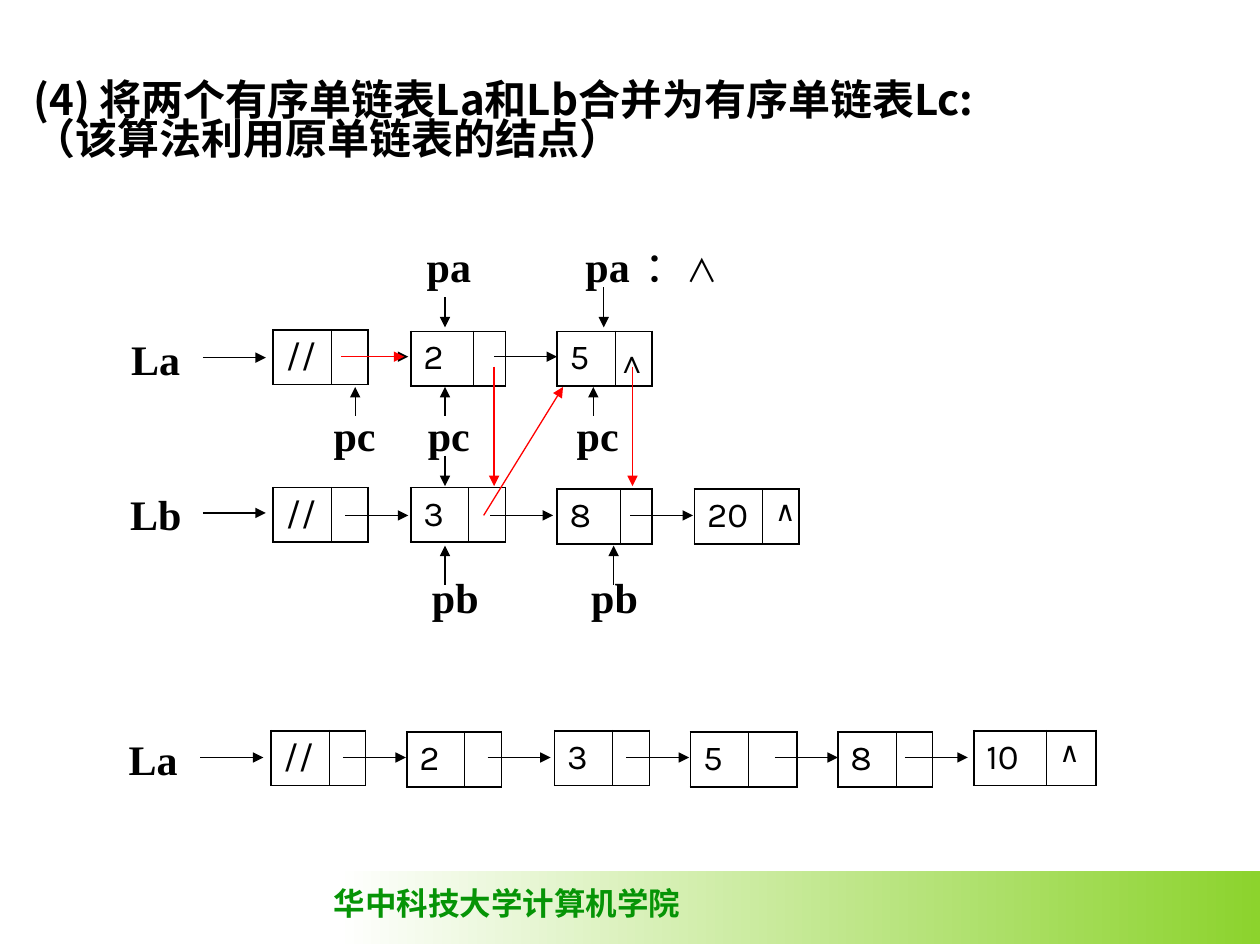
from dataclasses import dataclass

from lxml.etree import SubElement
from pptx import Presentation
from pptx.dml.color import RGBColor
from pptx.enum.shapes import MSO_CONNECTOR as Connector, MSO_SHAPE as Preset
from pptx.enum.text import PP_ALIGN as Align
from pptx.oxml.ns import qn
from pptx.util import Cm, Pt

BLACK = RGBColor(0x00, 0x00, 0x00)
RED = RGBColor(0xFF, 0x00, 0x00)
WHITE = RGBColor(0xFF, 0xFF, 0xFF)
LIME = RGBColor(0x8C, 0xD3, 0x2D)
GREEN = RGBColor(0x06, 0x94, 0x06)
SERIF = "Times New Roman"
HAN = "Noto Sans CJK SC"
NODE_HEIGHT = 1.1
LINK_LENGTH = 1.27
THICK, THIN = 1.08, 0.45


@dataclass
class Node:
    value: str
    left: float
    top: float
    value_width: float = 1.17
    link_width: float = 0.74
    link: str = ""


@dataclass
class Label:
    text: str
    left: float
    top: float
    width: float


@dataclass
class Arrow:
    x1: float
    y1: float
    x2: float
    y2: float
    color: RGBColor = BLACK


NODES = [
    Node("//", 5.51, 6.65),
    Node("2", 8.28, 6.68, 1.27, 0.64),
    Node("5", 11.23, 6.68),
    Node("//", 5.51, 9.83),
    Node("3", 8.28, 9.83),
    Node("8", 11.23, 9.86, 1.27, 0.64),
    Node("20", 14.0, 9.86, 1.37, 0.74, "∧"),
    Node("//", 5.46, 14.73),
    Node("2", 8.2, 14.76),
    Node("3", 11.18, 14.73),
    Node("5", 13.92, 14.76, 1.17, 0.97),
    Node("8", 16.89, 14.76),
    Node("10", 19.63, 14.73, 1.47, 0.99, "∧"),
]
LABELS = [
    Label("La", 1.55, 6.6, 3.18),
    Label("Lb", 1.55, 9.73, 3.18),
    Label("La", 1.5, 14.66, 3.18),
    Label("pa", 8.15, 4.72, 1.8),
    Label("pa", 11.35, 4.72, 1.8),
    Label("pc", 6.35, 8.13, 1.6),
    Label("pc", 8.15, 8.13, 1.8),
    Label("pc", 11.15, 8.13, 1.8),
    Label("pb", 7.59, 11.4, 3.18),
    Label("pb", 10.8, 11.4, 3.18),
]
LINK_STARTS = {
    7.21: [4.09],
    7.19: [6.96, 9.96],
    10.34: [4.09],
    10.39: [6.96, 9.88, 12.7],
    15.27: [4.04, 6.91, 9.83, 12.62, 15.62, 18.24],
}
LINKS = [Arrow(x, y, x + LINK_LENGTH, y) for y, starts in LINK_STARTS.items() for x in starts]
PC_POINTERS = [Arrow(x, 8.38, x, 7.8) for x in (7.16, 8.97, 11.96)]
PB_POINTERS = [Arrow(x, 11.79, x, 11.0) for x in (8.97, 12.37)]
PA_POINTERS = [
    Arrow(8.97, 5.99, 8.97, 6.6),
    Arrow(12.17, 5.79, 12.17, 6.6),
    Arrow(8.97, 9.19, 8.97, 9.8),
]
RELINKS = [
    Arrow(6.88, 7.19, 6.88 + LINK_LENGTH, 7.19, RED),
    Arrow(9.96, 7.39, 9.96, 9.8, RED),
    Arrow(9.75, 10.39, 11.35, 7.8, RED),
    Arrow(12.75, 7.39, 12.75, 9.8, RED),
]


def style(paragraph, size: float, name: str, color: RGBColor = BLACK, bold: bool = False) -> None:
    font = paragraph.font
    font.size, font.name, font.bold = Pt(size), name, bold
    font.color.rgb = color
    defaults = paragraph._p.pPr.find(qn("a:defRPr"))
    SubElement(defaults, qn("a:ea"), typeface=HAN)


def add_frame(slide, left: float, top: float, width: float, height: float, wrap: bool = True):
    frame = slide.shapes.add_textbox(Cm(left), Cm(top), Cm(width), Cm(height)).text_frame
    frame.word_wrap = wrap
    return frame


def draw_borders(cell, **widths: float) -> None:
    properties = cell._tc.get_or_add_tcPr()
    for position, side in enumerate("LRTB"):
        line = properties.makeelement(qn(f"a:ln{side}"), {"w": str(Pt(widths[side]))})
        fill = SubElement(line, qn("a:solidFill"))
        SubElement(fill, qn("a:srgbClr"), val=str(BLACK))
        properties.insert(position, line)


def draw_node(slide, node: Node) -> None:
    widths = (node.value_width, node.link_width)
    table = slide.shapes.add_table(
        1, 2, Cm(node.left), Cm(node.top), Cm(sum(widths)), Cm(NODE_HEIGHT)
    ).table
    table.first_row = table.horz_banding = False
    for column, width in zip(table.columns, widths):
        column.width = Cm(width)
    value, link = table.cell(0, 0), table.cell(0, 1)
    for cell, text, size in ((value, node.value, 20), (link, node.link, 16)):
        cell.fill.background()
        cell.text = text
        style(cell.text_frame.paragraphs[0], size, "Karla")
    draw_borders(value, L=THICK, R=THIN, T=THICK, B=THICK)
    draw_borders(link, L=THIN, R=THICK, T=THICK, B=THICK)


def draw_label(slide, label: Label) -> None:
    paragraph = add_frame(slide, label.left, label.top, label.width, 1.27).paragraphs[0]
    paragraph.text = label.text
    paragraph.alignment = Align.CENTER
    style(paragraph, 24, SERIF, bold=True)


def draw_arrow(slide, arrow: Arrow) -> None:
    connector = slide.shapes.add_connector(
        Connector.STRAIGHT, Cm(arrow.x1), Cm(arrow.y1), Cm(arrow.x2), Cm(arrow.y2)
    )
    connector.line.color.rgb = arrow.color
    connector.line.width = Pt(0.75)
    SubElement(connector.line._get_or_add_ln(), qn("a:tailEnd"), type="triangle")
    SubElement(connector._element.spPr, qn("a:effectLst"))


def draw_footer(slide) -> None:
    band = slide.shapes.add_shape(Preset.RECTANGLE, Cm(6.78), Cm(17.55), Cm(18.62), Cm(1.48))
    band.shadow.inherit = False
    band.line.fill.background()
    band.fill.gradient()
    band.fill.gradient_angle = 0
    for stop, color, position in zip(band.fill.gradient_stops, (WHITE, LIME), (0, 1)):
        stop.color.rgb = color
        stop.position = position
    school = add_frame(slide, 6.48, 17.7, 7.49, 1.02, wrap=False).paragraphs[0]
    school.text = "华中科技大学计算机学院"
    style(school, 18, SERIF, GREEN, bold=True)


def draw_title(slide) -> None:
    frame = add_frame(slide, 0.43, 1.63, 23.27, 2.08)
    frame.text = "(4) 将两个有序单链表La和Lb合并为有序单链表Lc:\n（该算法利用原单链表的结点）"
    for paragraph in frame.paragraphs:
        paragraph.line_spacing = 0.7
        style(paragraph, 24, HAN, bold=True)
    frame.paragraphs[1].space_before = Pt(2)


def draw_null_marks(slide) -> None:
    tail = add_frame(slide, 12.17, 6.78, 0.99, 1.02).paragraphs[0]
    tail.text = "∧"
    style(tail, 18, "Arial")
    pa_value = add_frame(slide, 12.75, 4.72, 3.0, 1.27).paragraphs[0]
    style(pa_value, 24, "Arial")
    for text, size in (("：", 24), ("∧", 18)):
        run = pa_value.add_run()
        run.text = text
        run.font.size = Pt(size)


def main() -> None:
    deck = Presentation()
    deck.slide_width, deck.slide_height = Cm(25.4), Cm(19.05)
    slide = deck.slides.add_slide(deck.slide_layouts[6])
    draw_footer(slide)
    draw_title(slide)
    for node in NODES:
        draw_node(slide, node)
    for label in LABELS:
        draw_label(slide, label)
    draw_null_marks(slide)
    for arrow in LINKS + PC_POINTERS + PB_POINTERS + PA_POINTERS + RELINKS:
        draw_arrow(slide, arrow)
    deck.save("out.pptx")


if __name__ == "__main__":
    main()
